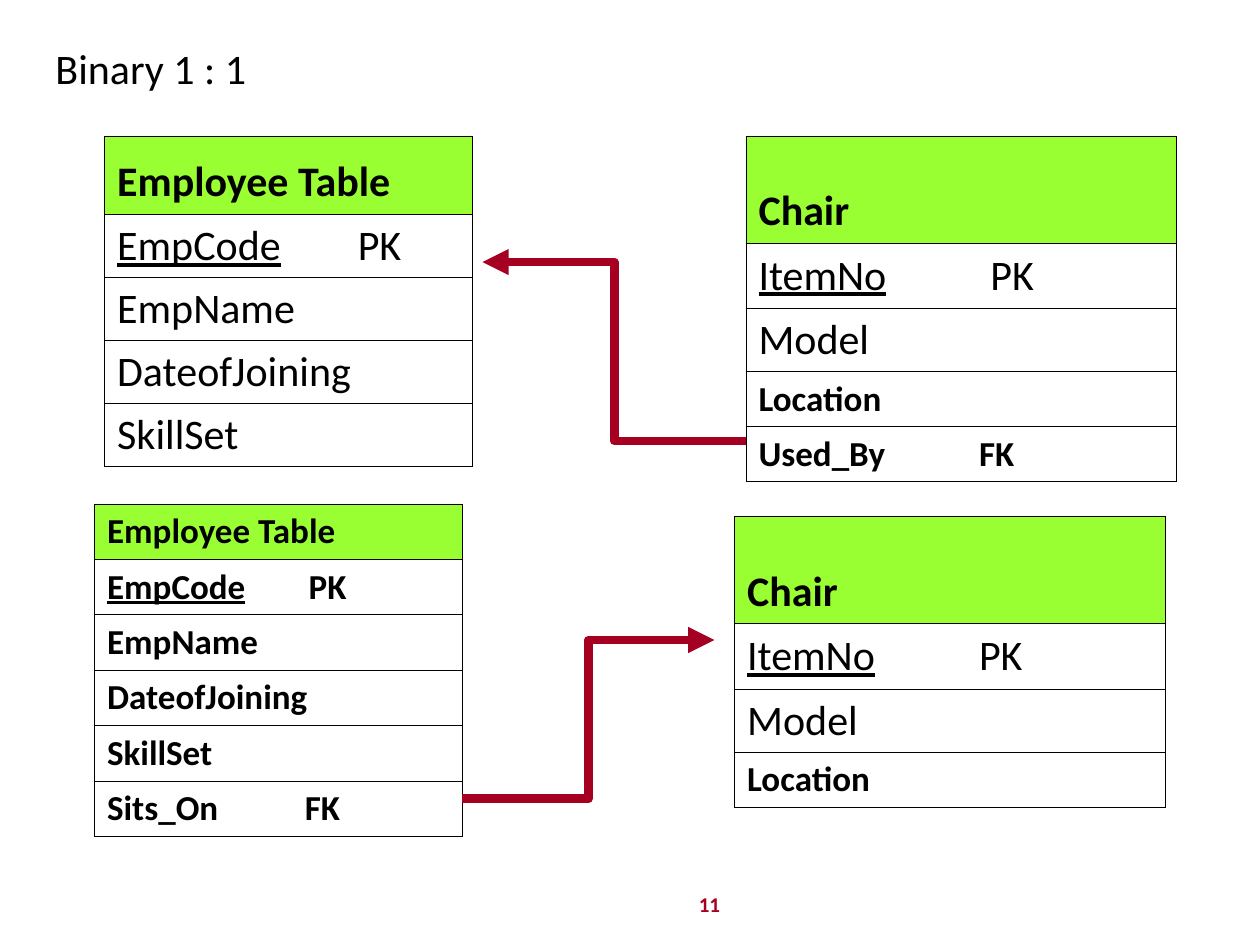
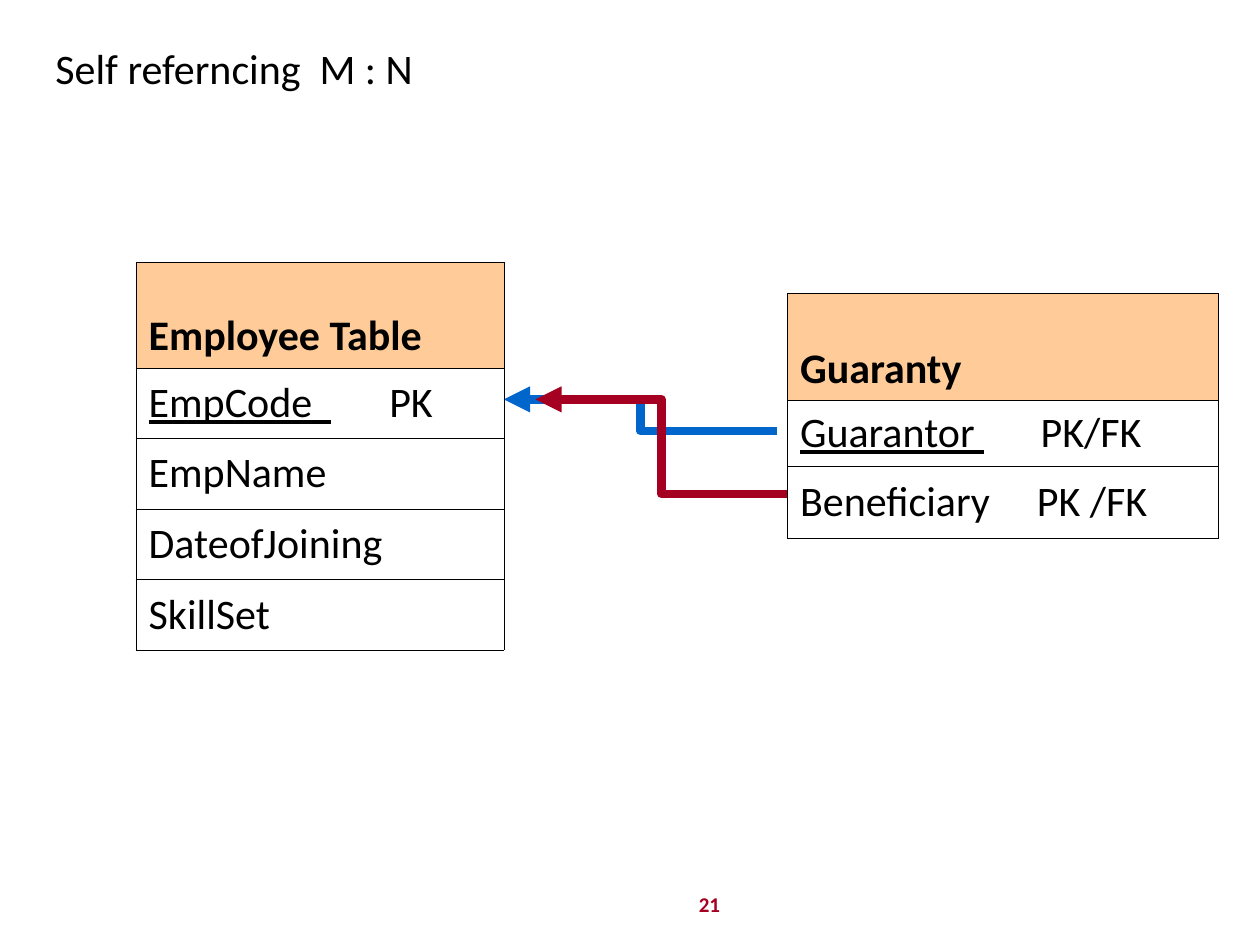
from dataclasses import dataclass

from lxml.etree import SubElement
from pptx import Presentation
from pptx.dml.color import RGBColor
from pptx.enum.shapes import MSO_CONNECTOR as Connector
from pptx.enum.text import MSO_ANCHOR as Anchor, PP_ALIGN as Align
from pptx.oxml import parse_xml
from pptx.oxml.ns import nsdecls, qn
from pptx.util import Inches, Pt

FONT = "Calibri"
BLACK, RED, BLUE = "000000", "A50021", "0066CC"
GREEN, PEACH = "99FF33", "FFCC99"
EMPLOYEE_WIDTH, ITEM_WIDTH = 2.92, 3.42
LARGE, SMALL = 24, 20


@dataclass
class Field:
    name: str
    key: str = ""
    key_offset: float = 0
    underline: bool = False
    size: int = LARGE
    bold: bool = False


def small_field(name, key="", key_offset=0, underline=False):
    return Field(name, key, key_offset, underline, SMALL, True)


def set_attributes(target, values):
    for name, value in values.items():
        setattr(target, name, value)


def rgb(color):
    return RGBColor.from_string(color)


def add_run(paragraph, text, size, color=BLACK, bold=False, underline=False):
    run = paragraph.add_run()
    run.text = text
    set_attributes(run.font, {"name": FONT, "size": Pt(size),
                              "bold": bold, "underline": underline})
    run.font.color.rgb = rgb(color)


def add_tab_stop(paragraph, offset):
    properties = paragraph._p.get_or_add_pPr()
    tab_list = SubElement(properties, qn("a:tabLst"))
    SubElement(tab_list, qn("a:tab"), pos=str(Inches(offset)), algn="l")


def add_borders(cell):
    properties = cell._tc.get_or_add_tcPr()
    for index, side in enumerate(("lnL", "lnR", "lnT", "lnB")):
        properties.insert(index, parse_xml(
            f'<a:{side} {nsdecls("a")} w="{Pt(0.45)}"><a:solidFill>'
            f'<a:srgbClr val="{BLACK}"/></a:solidFill></a:{side}>'))


def fill_cell(cell, field, fill=None):
    set_attributes(cell, {
        "vertical_anchor": Anchor.BOTTOM if fill else Anchor.MIDDLE,
        "margin_left": Inches(0.1), "margin_right": Inches(0.1),
        "margin_top": Inches(0.05), "margin_bottom": Inches(0.05)})
    if fill:
        cell.fill.solid()
        cell.fill.fore_color.rgb = rgb(fill)
    else:
        cell.fill.background()
    add_borders(cell)
    paragraph = cell.text_frame.paragraphs[0]
    add_run(paragraph, field.name, field.size, bold=field.bold,
            underline=field.underline)
    if field.key:
        add_tab_stop(paragraph, field.key_offset)
        add_run(paragraph, "\t" + field.key, field.size, bold=field.bold)


def add_entity(slide, left, top, width, heights, fill, fields):
    frame = slide.shapes.add_table(len(fields), 1, Inches(left), Inches(top),
                                   Inches(width), Inches(sum(heights)))
    table = frame.table
    set_attributes(table, {"first_row": False, "horz_banding": False})
    for index, (height, field) in enumerate(zip(heights, fields)):
        table.rows[index].height = Inches(height)
        fill_cell(table.cell(index, 0), field, fill if index == 0 else None)


def add_reference(slide, start, end, color=RED):
    points = [Inches(value) for value in (*start, *end)]
    connector = slide.shapes.add_connector(Connector.ELBOW, *points)
    connector.line.width = Pt(5)
    connector.line.color.rgb = rgb(color)
    SubElement(connector.line._get_or_add_ln(), qn("a:tailEnd"), type="triangle")
    SubElement(connector._element.spPr, qn("a:effectLst"))


def add_page(presentation, title, number):
    slide = presentation.slides.add_slide(presentation.slide_layouts[5])
    heading = slide.shapes.title
    set_attributes(heading, {"left": Inches(0.34), "top": Inches(0.26),
                             "width": Inches(9.38), "height": Inches(0.56)})
    heading.text_frame.vertical_anchor = Anchor.MIDDLE
    paragraph = heading.text_frame.paragraphs[0]
    paragraph.alignment = Align.LEFT
    add_run(paragraph, title, LARGE)

    box = slide.shapes.add_textbox(Inches(5.42), Inches(7.03),
                                   Inches(0.42), Inches(0.31))
    box.text_frame.word_wrap = True
    paragraph = box.text_frame.paragraphs[0]
    paragraph.alignment = Align.CENTER
    add_run(paragraph, str(number), 12, RED, bold=True)
    return slide


def add_binary_slide(presentation):
    slide = add_page(presentation, "Binary 1 : 1", 11)
    chair = [Field("Chair", bold=True), Field("ItemNo", "PK", 1.84, True),
             Field("Model"), small_field("Location")]
    chair_heights = [0.85, 0.52, 0.5, 0.43]
    plain_names = ["EmpName", "DateofJoining", "SkillSet"]

    add_entity(slide, 5.92, 1.08, ITEM_WIDTH, chair_heights + [0.43], GREEN,
               chair + [small_field("Used_By", "FK", 1.75)])
    add_entity(slide, 0.83, 1.08, EMPLOYEE_WIDTH, [0.62] + [0.5] * 4, GREEN,
               [Field("Employee Table", bold=True),
                Field("EmpCode", "PK", 1.91, True),
                *map(Field, plain_names)])
    add_reference(slide, (5.92, 3.5), (3.83, 2.08))

    add_entity(slide, 5.83, 4.1, ITEM_WIDTH, chair_heights, GREEN, chair)
    add_entity(slide, 0.75, 4, EMPLOYEE_WIDTH, [0.44] * 6, GREEN,
               [small_field("Employee Table"),
                small_field("EmpCode", "PK", 1.6, True),
                *map(small_field, plain_names),
                small_field("Sits_On", "FK", 1.57)])
    add_reference(slide, (3.67, 6.34), (5.67, 5.08))


def add_self_referencing_slide(presentation):
    slide = add_page(presentation, "Self referncing  M : N", 21)
    add_entity(slide, 6.25, 2.33, ITEM_WIDTH, [0.85, 0.52, 0.57], PEACH,
               [Field("Guaranty", bold=True),
                Field("Guarantor ", "PK/FK", 1.91, True),
                Field("Beneficiary", "PK /FK", 1.88)])
    add_reference(slide, (6.17, 3.42), (4, 3.17), BLUE)
    add_entity(slide, 1.08, 2.08, EMPLOYEE_WIDTH, [0.84] + [0.56] * 4, PEACH,
               [Field("Employee Table", bold=True),
                Field("EmpCode  ", "PK", 1.91, True),
                Field("EmpName"), Field("DateofJoining"), Field("SkillSet")])
    add_reference(slide, (6.25, 3.92), (4.25, 3.17))


def main():
    presentation = Presentation()
    set_attributes(presentation, {"slide_width": Inches(10),
                                  "slide_height": Inches(7.5)})
    add_binary_slide(presentation)
    add_self_referencing_slide(presentation)
    presentation.save("out.pptx")


if __name__ == "__main__":
    main()
